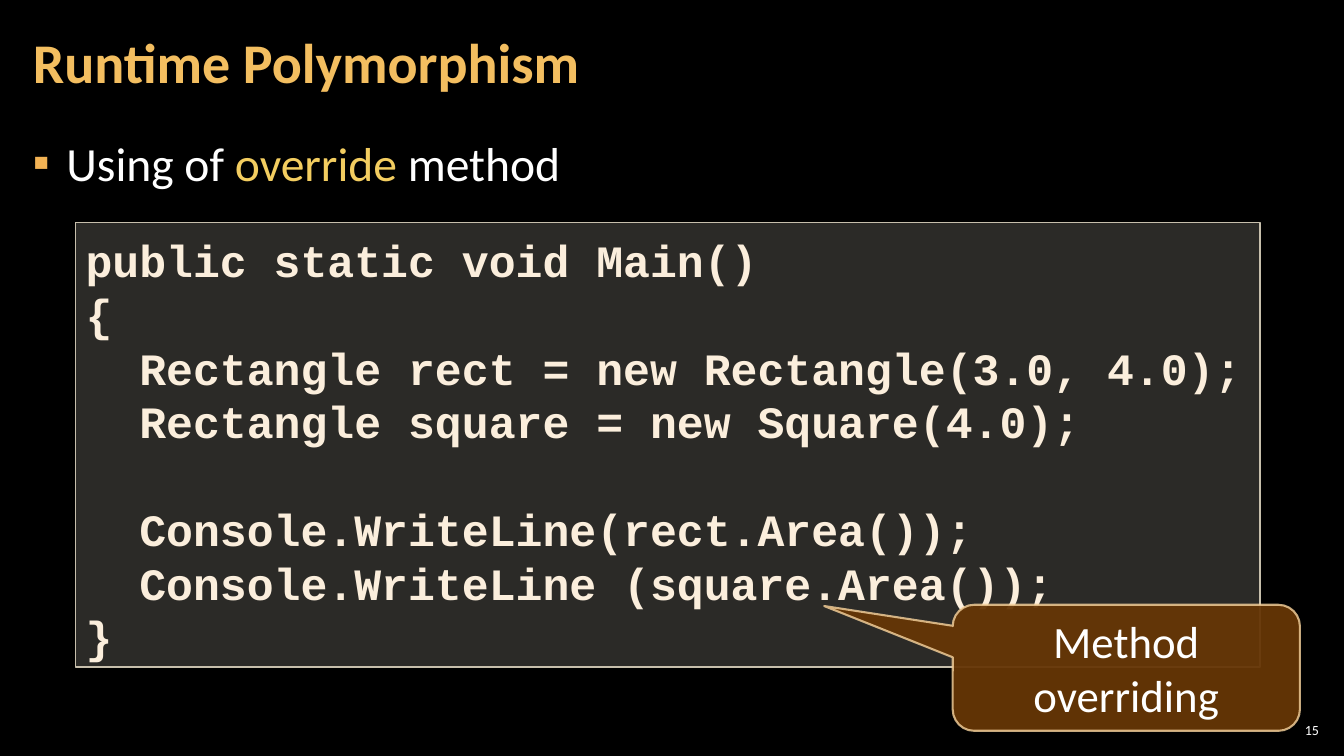
import pptx
import pptx.dml.color
import pptx.enum.shapes
import pptx.enum.text
import pptx.oxml
import pptx.oxml.ns
import pptx.util
from dataclasses import dataclass

Pt = pptx.util.Pt
ALIGN = pptx.enum.text.PP_ALIGN
ANCHOR = pptx.enum.text.MSO_ANCHOR
SHAPE = pptx.enum.shapes.MSO_SHAPE


@dataclass(frozen=True)
class Theme:
    background: str = "000000"
    title: str = "F3BE60"
    body: str = "FFFFFF"
    keyword: str = "F3CD60"
    bullet: str = "F2B254"
    code: str = "FBEEDC"
    code_fill: str = "D9D5C7"
    code_line: str = "C7BFAC"
    callout_fill: str = "663606"
    callout_line: str = "F8D49E"
    text_font: str = "Calibri"
    code_font: str = "Courier New"
    title_size: float = 40
    body_size: float = 34
    code_size: float = 32
    code_pitch: float = 38.4
    code_indent: float = 38.4
    number_size: float = 10


THEME = Theme()
CODE = [
    (0, 0, "public static void Main()"),
    (0, 0, "{"),
    (1, 0, "Rectangle rect = new Rectangle(3.0, 4.0);"),
    (1, 0, "Rectangle square = new Square(4.0);"),
    (1, 1, "Console.WriteLine(rect.Area());"),
    (1, 0, "Console.WriteLine (square.Area());"),
    (0, 0, "}"),
]


def rgb(value):
    return pptx.dml.color.RGBColor.from_string(value)


def place(shape, box):
    for side, length in zip(("left", "top", "width", "height"), box):
        setattr(shape, side, Pt(length))


def set_frame(frame, anchor, insets):
    frame.word_wrap = True
    frame.auto_size = pptx.enum.text.MSO_AUTO_SIZE.NONE
    frame.vertical_anchor = anchor
    for side, inset in zip(("left", "top", "right", "bottom"), insets):
        setattr(frame, f"margin_{side}", Pt(inset))


def set_paragraph(paragraph, **formats):
    for name, value in formats.items():
        setattr(paragraph, name, value)


def add_run(paragraph, text, size, color, name=THEME.text_font, bold=False):
    run = paragraph.add_run()
    run.text = text
    for key, value in {"size": Pt(size), "name": name, "bold": bold}.items():
        setattr(run.font, key, value)
    run.font.color.rgb = rgb(color)


def set_alpha(color_format, percent):
    for color in color_format.iter(pptx.oxml.ns.qn("a:srgbClr")):
        alpha = pptx.oxml.ns.qn("a:alpha")
        color.append(color.makeelement(alpha, {"val": str(percent * 1000)}))


def add_panel(slide, kind, box, fill, fill_alpha, line, line_width, line_alpha):
    panel = slide.shapes.add_shape(kind, *map(Pt, box))
    panel.shadow.inherit = False
    panel.fill.solid()
    panel.fill.fore_color.rgb = rgb(fill)
    panel.line.color.rgb = rgb(line)
    panel.line.width = Pt(line_width)
    properties = panel.fill._xPr
    set_alpha(properties.find(pptx.oxml.ns.qn("a:solidFill")), fill_alpha)
    set_alpha(properties.find(pptx.oxml.ns.qn("a:ln")), line_alpha)
    return panel


def add_title(slide, box):
    heading = slide.shapes.title
    place(heading, box)
    set_frame(heading.text_frame, ANCHOR.MIDDLE, (8.5, 2.8, 8.5, 2.8))
    paragraph = heading.text_frame.paragraphs[0]
    set_paragraph(paragraph, alignment=ALIGN.LEFT, line_spacing=0.9)
    add_run(paragraph, "Runtime Polymorphism", THEME.title_size, THEME.title, bold=True)


def add_topic(slide, box):
    topic = slide.shapes.add_textbox(*map(Pt, box))
    set_frame(topic.text_frame, ANCHOR.TOP, (8.5, 2.8, 8.5, 2.8))
    paragraph = topic.text_frame.paragraphs[0]
    set_paragraph(paragraph, line_spacing=1.05, space_before=Pt(6), space_after=Pt(6))
    properties = paragraph._p.get_or_add_pPr()
    properties.set("marL", str(Pt(24)))
    properties.set("indent", str(-Pt(24)))
    namespace = pptx.oxml.ns.nsdecls("a")
    for xml in (
        f'<a:buClr {namespace}><a:srgbClr val="{THEME.bullet}"/></a:buClr>',
        f'<a:buFont {namespace} typeface="{THEME.text_font}"/>',
        f'<a:buChar {namespace} char="▪"/>',
    ):
        properties.append(pptx.oxml.parse_xml(xml))
    for text, color in (
        ("Using of ", THEME.body),
        ("override", THEME.keyword),
        (" method", THEME.body),
    ):
        add_run(paragraph, text, THEME.body_size, color)


def add_code(slide, box):
    listing = add_panel(slide, SHAPE.RECTANGLE, box, THEME.code_fill, 20,
                        THEME.code_line, 1, 100)
    frame = listing.text_frame
    set_frame(frame, ANCHOR.TOP, (7.2, 7.2, 0, 0))
    for row, (level, gap, text) in enumerate(CODE):
        paragraph = frame.add_paragraph() if row else frame.paragraphs[0]
        set_paragraph(paragraph, alignment=ALIGN.LEFT,
                      line_spacing=Pt(THEME.code_pitch),
                      space_before=Pt(gap * THEME.code_pitch))
        paragraph._p.get_or_add_pPr().set("marL", str(Pt(level * THEME.code_indent)))
        add_run(paragraph, text, THEME.code_size, THEME.code, THEME.code_font, True)


def add_callout(slide, box):
    callout = add_panel(slide, SHAPE.ROUNDED_RECTANGULAR_CALLOUT, box,
                        THEME.callout_fill, 95, THEME.callout_line, 1.5, 80)
    for index, value in enumerate((-0.87, -0.49, 0.17)):
        callout.adjustments[index] = value
    set_frame(callout.text_frame, ANCHOR.MIDDLE, (7.2, 3.6, 7.2, 3.6))
    paragraph = callout.text_frame.paragraphs[0]
    paragraph.alignment = ALIGN.CENTER
    add_run(paragraph, "Method overriding", THEME.code_size, THEME.body)


def add_page_number(slide, box):
    number = slide.shapes.add_textbox(*map(Pt, box))
    set_frame(number.text_frame, ANCHOR.MIDDLE, (2.8,) * 4)
    paragraph = number.text_frame.paragraphs[0]
    paragraph.alignment = ALIGN.RIGHT
    add_run(paragraph, "15", THEME.number_size, THEME.body)


def main():
    deck = pptx.Presentation()
    deck.slide_width, deck.slide_height = Pt(960), Pt(540)
    slide = deck.slides.add_slide(deck.slide_layouts[5])
    slide.background.fill.solid()
    slide.background.fill.fore_color.rgb = rgb(THEME.background)
    add_page_number(slide, (911, 514, 34, 15))
    add_topic(slide, (15, 90.5, 930, 438.5))
    add_title(slide, (15, 3, 754, 87))
    add_code(slide, (54, 159, 846, 317.5))
    add_callout(slide, (680.5, 432, 248, 90))
    deck.save("out.pptx")


if __name__ == "__main__":
    main()
